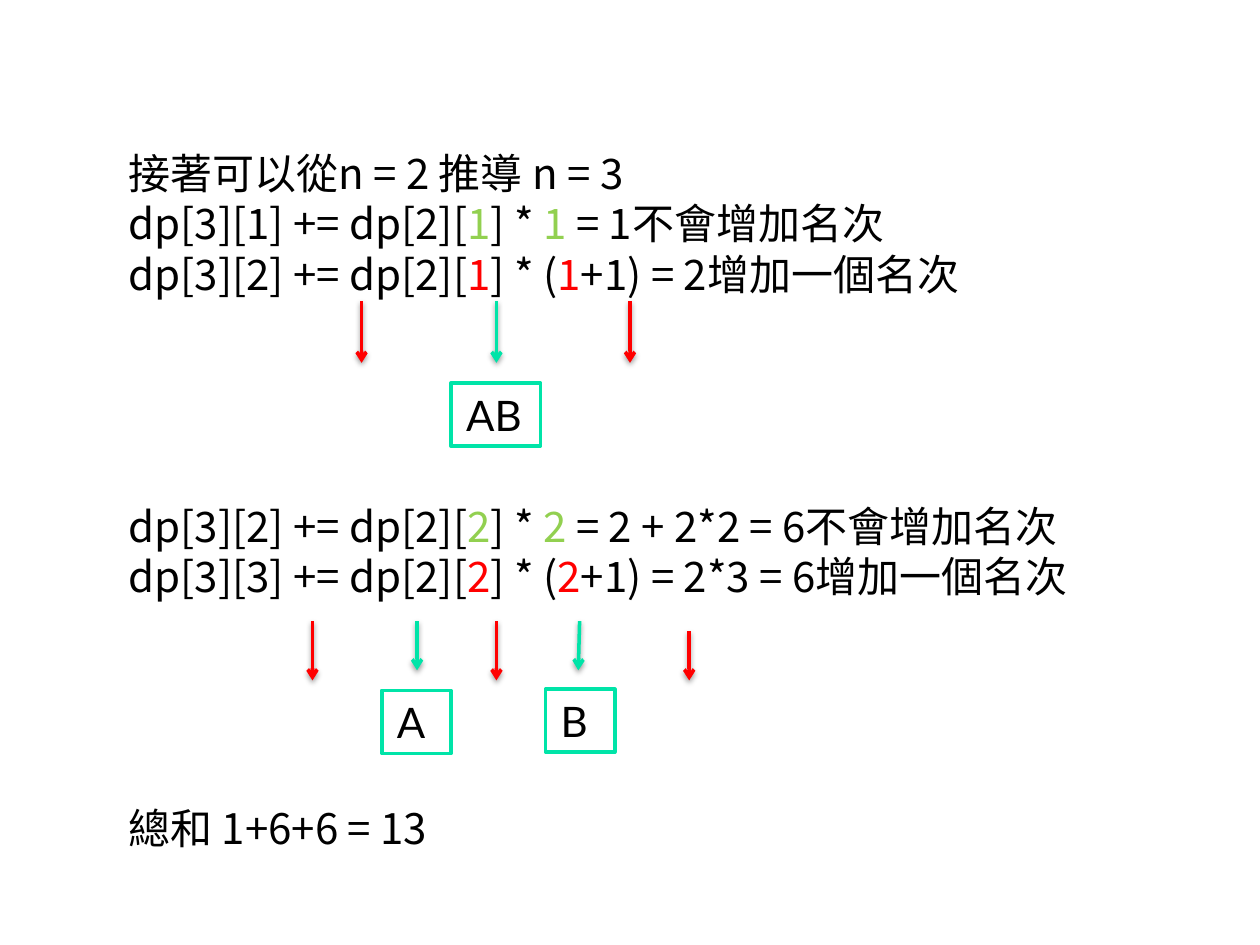
from lxml import etree
from pptx import Presentation
from pptx.dml.color import RGBColor
from pptx.enum.shapes import MSO_CONNECTOR, MSO_SHAPE
from pptx.enum.text import MSO_ANCHOR
from pptx.oxml import parse_xml
from pptx.oxml.ns import nsdecls, qn
from pptx.util import Inches, Pt

BLACK = RGBColor(0x00, 0x00, 0x00)
WHITE = RGBColor(0xFF, 0xFF, 0xFF)
RED = RGBColor(0xFF, 0x00, 0x00)
GREEN = RGBColor(0x92, 0xD0, 0x50)
TEAL = RGBColor(0x00, 0xE4, 0xA8)

LINE_HEIGHT = 28.8
SECTION_GAP = Pt(4 * LINE_HEIGHT)
SHADOW = (
    f'<a:effectLst {nsdecls("a")}>'
    '<a:outerShdw blurRad="38100" dist="20320" dir="5400000" rotWithShape="0">'
    '<a:srgbClr val="000000"><a:alpha val="38000"/></a:srgbClr>'
    '</a:outerShdw></a:effectLst>'
)


def add_run(paragraph, text, typeface, color):
    run = paragraph.add_run()
    run.text = text
    font_format = {"size": Pt(24), "name": typeface}
    for attribute, value in font_format.items():
        setattr(run.font, attribute, value)
    run.font.color.rgb = color
    east_asian = etree.SubElement(run.font._element, qn("a:ea"))
    east_asian.set("typeface", typeface)


def set_frame(frame, **insets):
    frame_format = {
        "word_wrap": True,
        "vertical_anchor": MSO_ANCHOR.TOP,
        "margin_left": Inches(0.05),
        "margin_right": Inches(0.05),
        "margin_top": Inches(0.05),
        "margin_bottom": Inches(0.05),
    }
    for attribute, value in (frame_format | insets).items():
        setattr(frame, attribute, value)


presentation = Presentation()
presentation.slide_width = Inches(10)
presentation.slide_height = Inches(7.5)
slide = presentation.slides.add_slide(presentation.slide_layouts[6])

# Derivation: (space before, runs) for each line
derivation_lines = [
    (0, [("接著可以從n = 2 推導 n = 3", BLACK)]),
    (0, [("dp[3][1] += dp[2][", BLACK), ("1", GREEN), ("] * ", BLACK),
         ("1", GREEN), (" = 1不會增加名次", BLACK)]),
    (0, [("dp[3][2] += dp[2][", BLACK), ("1", RED), ("] * (", BLACK),
         ("1", RED), ("+1) = 2增加一個名次", BLACK)]),
    (SECTION_GAP, [("dp[3][2] += dp[2][", BLACK), ("2", GREEN), ("] * ", BLACK),
                   ("2", GREEN), (" = 2 + 2*2 = 6不會增加名次", BLACK)]),
    (0, [("dp[3][3] += dp[2][", BLACK), ("2", RED), ("] * (", BLACK),
         ("2", RED), ("+1) = 2*3 = 6增加一個名次", BLACK)]),
    (SECTION_GAP, [("總和 1+6+6 = 13", BLACK)]),
]
derivation = slide.shapes.add_textbox(
    Inches(0.97), Inches(1.08), Inches(8.83), Inches(6.16)).text_frame
set_frame(derivation, margin_top=Inches(0.09))
for index, (gap, pieces) in enumerate(derivation_lines):
    line = derivation.add_paragraph() if index else derivation.paragraphs[0]
    line.line_spacing = Pt(LINE_HEIGHT)
    if gap:
        line.space_before = gap
    for text, color in pieces:
        add_run(line, text, "Noto Sans CJK SC", color)

# Ranked contestants
for name, left, top, width in [
    ("AB", 3.58, 3.04, 0.71),
    ("A", 3.03, 5.48, 0.55),
    ("B", 4.33, 5.47, 0.55),
]:
    contestant = slide.shapes.add_shape(
        MSO_SHAPE.RECTANGLE, Inches(left), Inches(top), Inches(width), Inches(0.5))
    contestant.shadow.inherit = False
    contestant.fill.solid()
    contestant.fill.fore_color.rgb = WHITE
    contestant.line.color.rgb = TEAL
    contestant.line.width = Pt(2)
    set_frame(contestant.text_frame, margin_left=Inches(0.12), margin_right=0)
    label = contestant.text_frame.paragraphs[0]
    label.alignment = 1
    add_run(label, name, "Lato", BLACK)

# Arrows: red for possible new places, teal for existing places
for color, start_x, start_y, end_x, end_y in [
    (RED, 2.87, 2.39, 2.87, 2.88),
    (RED, 5, 2.39, 5, 2.88),
    (TEAL, 3.94, 2.39, 3.94, 2.88),
    (TEAL, 3.31, 4.93, 3.31, 5.32),
    (TEAL, 4.6, 4.93, 4.59, 5.32),
    (RED, 2.48, 4.93, 2.48, 5.4),
    (RED, 3.94, 4.93, 3.94, 5.4),
    (RED, 5.47, 5.01, 5.47, 5.4),
]:
    place_arrow = slide.shapes.add_connector(
        MSO_CONNECTOR.STRAIGHT, Inches(start_x), Inches(start_y),
        Inches(end_x), Inches(end_y))
    place_arrow.line.color.rgb = color
    place_arrow.line.width = Pt(2)
    properties = place_arrow._element.spPr
    arrowhead = etree.SubElement(properties.find(qn("a:ln")), qn("a:tailEnd"))
    arrowhead.set("type", "arrow")
    properties.append(parse_xml(SHADOW))

presentation.save("out.pptx")
